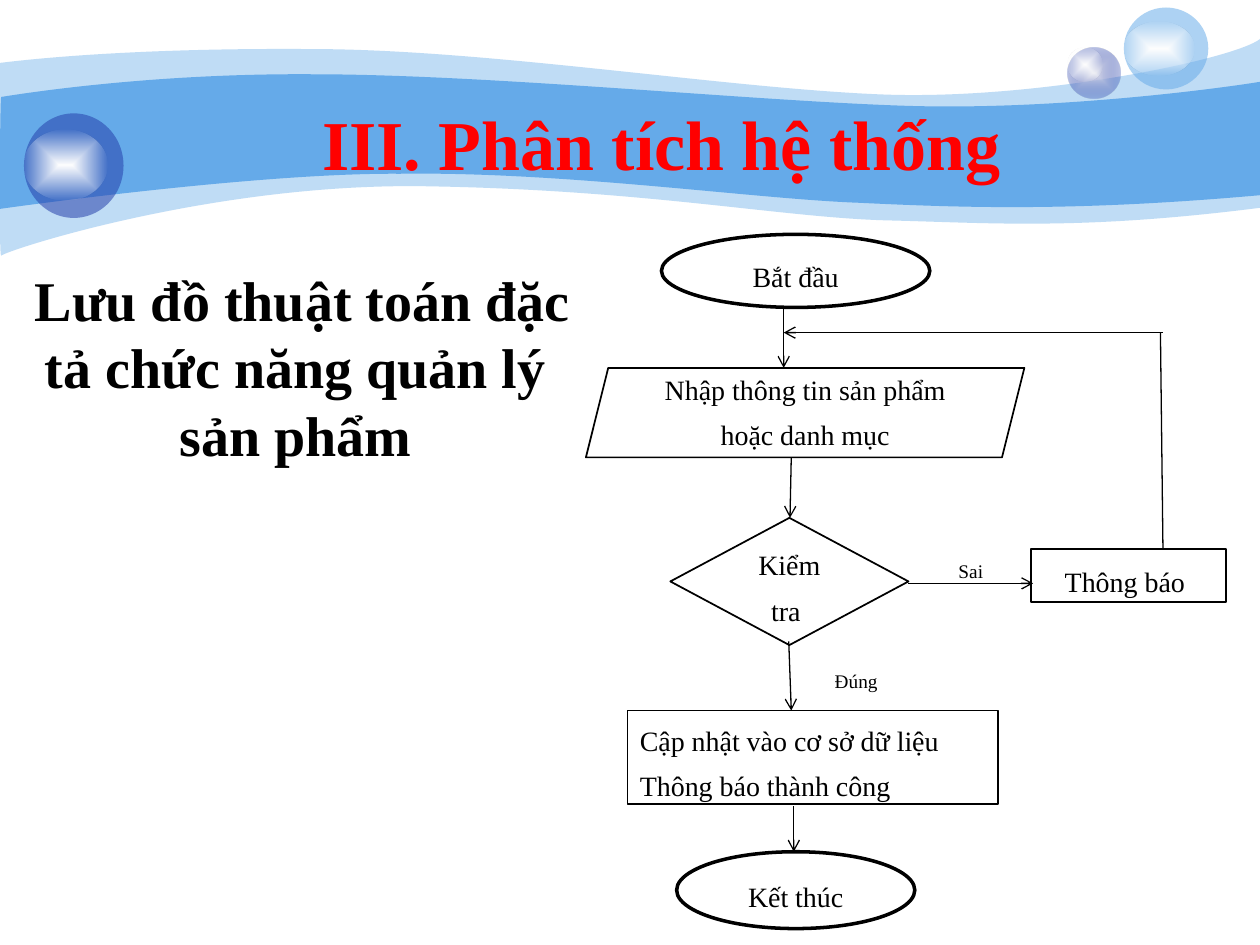
"""Build a slide with a flowchart for the product management function."""
import pptx
import pptx.dml.color
import pptx.enum.shapes
import pptx.enum.text
import pptx.oxml
import pptx.oxml.ns
import pptx.util

Inches = pptx.util.Inches
Pt = pptx.util.Pt
Kind = pptx.enum.shapes.MSO_SHAPE
Align = pptx.enum.text.PP_ALIGN
Anchor = pptx.enum.text.MSO_ANCHOR


def color(code):
    """Turn a hex string into a colour."""
    return pptx.dml.color.RGBColor.from_string(code)


def write(shape, text, size, code="000000", bold=False, align=Align.CENTER,
          anchor=Anchor.MIDDLE, space=1.0, before=0, after=0):
    """Set the text of a shape and format it."""
    frame = shape.text_frame
    frame.text = text
    frame.word_wrap = True
    frame.auto_size = pptx.enum.text.MSO_AUTO_SIZE.NONE
    frame.vertical_anchor = anchor
    for para in frame.paragraphs:
        para.alignment = align
        para.line_spacing = space
        para.space_before, para.space_after = Pt(before), Pt(after)
        for run in para.runs:
            run.font.name = "Times New Roman"
            run.font.size = Pt(size)
            run.font.bold = bold
            run.font.color.rgb = color(code)


deck = pptx.Presentation()
deck.slide_width, deck.slide_height = Inches(10), Inches(7.5)
slide = deck.slides.add_slide(deck.slide_layouts[5])
shapes = slide.shapes
space = pptx.oxml.ns.nsdecls("a")

waves = [
    ((-0.01, 0.31, 10, 2.08), 41,
     [(0, 0.5), (0.24, 0.47, 1.07, 0.38, 2.47, 0.39),
      (3.86, 0.39, 5.75, 0.7, 6.99, 0.75), (8.22, 0.8, 9.8, 0.47, 10, 0.31),
      (10, 1.65), (8.58, 1.83, 7.87, 1.77, 7.05, 1.75),
      (6.22, 1.73, 5.15, 1.51, 3.43, 1.48), (1.72, 1.44, 0.04, 1.99, 0.01, 2.03),
      (-0.01, 2.08, 0, 0.75, 0, 0.5)]),
    ((-0.02, 0.58, 10, 1.68), 100,
     [(0.01, 0.77), (0.02, 0.77, 1.1, 0.58, 2.48, 0.59),
      (3.86, 0.59, 5.95, 0.8, 7.18, 0.84), (8.41, 0.88, 9.76, 0.69, 10, 0.65),
      (10, 1.55), (8.53, 1.68, 7.65, 1.65, 6.82, 1.61),
      (5.99, 1.58, 4.47, 1.36, 3.17, 1.38), (2.03, 1.37, -0.02, 1.66, -0.01, 1.66),
      (0, 1.66, 0, 0.77, 0.01, 0.77)]),
]
decor = []
for (left, top, right, base), alpha, parts in waves:
    pen = shapes.build_freeform(Inches(left), Inches(top))
    pen.add_line_segments([(Inches(right), Inches(base))], close=True)
    wave = pen.convert_to_shape()
    track = wave._element.spPr.find(".//" + pptx.oxml.ns.qn("a:path"))
    for child in list(track):
        track.remove(child)
    for rank, part in enumerate(parts):
        tag = "moveTo" if rank == 0 else "lnTo" if len(part) == 2 else "cubicBezTo"
        dots = "".join(f'<a:pt x="{Inches(x - left)}" y="{Inches(y - top)}"/>'
                       for x, y in zip(part[::2], part[1::2]))
        track.append(pptx.oxml.parse_xml(f"<a:{tag} {space}>{dots}</a:{tag}>"))
    track.append(pptx.oxml.parse_xml(f"<a:close {space}/>"))
    decor.append((wave, [("65AAE9", alpha)]))

gleam = [("FFFFFF", 100), ("FFFFFF", 0)]
balls = [
    (8.47, 0.38, 0.42, 0.4, [("E1E2ED", 100), ("233DA9", 31)]),
    (8.47, 0.38, 0.28, 0.27, gleam),
    (8.92, 0.06, 0.67, 0.65, [("65AAE9", 53)]),
    (8.92, 0.17, 0.56, 0.43, gleam),
    (0.19, 0.9, 0.79, 0.83, [("233DA9", 53)]),
    (0.19, 1.03, 0.66, 0.56, gleam),
]
for *place, stops in balls:
    ball = shapes.add_shape(Kind.OVAL, *map(Inches, place))
    decor.append((ball, stops))

for shape, stops in decor:
    tones = [f'<a:srgbClr val="{code}"><a:alpha val="{alpha * 1000}"/></a:srgbClr>'
             for code, alpha in stops]
    if len(tones) == 1:
        fill = f"<a:solidFill {space}>{tones[0]}</a:solidFill>"
    else:
        fill = (f'<a:gradFill {space} rotWithShape="1"><a:gsLst>'
                f'<a:gs pos="0">{tones[0]}</a:gs><a:gs pos="100000">{tones[1]}</a:gs>'
                '</a:gsLst><a:path path="shape"><a:fillToRect l="50000" t="50000" '
                'r="50000" b="50000"/></a:path></a:gradFill>')
    shape._element.spPr.append(pptx.oxml.parse_xml(fill))
    shape.line.fill.background()
    shape.shadow.inherit = False

topic = shapes.add_textbox(Inches(0), Inches(2.06), Inches(4.69), Inches(1.72))
write(topic, " Lưu đồ thuật toán đặc tả chức năng quản lý sản phẩm", 32,
      bold=True, anchor=Anchor.TOP, before=6.4)

nodes = [
    (Kind.RECTANGLE, 7.28, 4.36, 0.85, 0.28, "Sai", 11, "FFFFFF", 2),
    (Kind.RECTANGLE, 6.3, 5.22, 0.99, 0.31, "Đúng", 11, "FFFFFF", 2),
    (Kind.OVAL, 5.25, 1.86, 2.13, 0.58, "Bắt đầu", 16, "000000", 2),
    (Kind.DIAMOND, 5.32, 4.11, 1.89, 1.01, "Kiểm tra ", 16, "000000", 1),
    (Kind.RECTANGLE, 8.18, 4.36, 1.55, 0.42, "Thông báo ", 16, "000000", 1),
    (Kind.PARALLELOGRAM, 4.65, 2.92, 3.48, 0.71,
     "Nhập thông tin sản phẩm hoặc danh mục", 16, "000000", 1),
    (Kind.RECTANGLE, 4.98, 5.64, 2.94, 0.74,
     "Cập nhật vào cơ sở dữ liệu\nThông báo thành công", 16, "000000", 1),
    (Kind.OVAL, 5.37, 6.76, 1.89, 0.61, "Kết thúc", 16, "000000", 2),
]
for kind, left, top, width, height, text, size, edge, weight in nodes:
    node = shapes.add_shape(kind, Inches(left), Inches(top), Inches(width), Inches(height))
    node.shadow.inherit = False
    node.fill.solid()
    node.fill.fore_color.rgb = color("FFFFFF")
    node.line.color.rgb = color(edge)
    node.line.width = Pt(weight)
    listed = "\n" in text
    gap = 0 if listed else 3
    write(node, text, size, align=Align.LEFT if listed else Align.CENTER,
          space=1.35, before=gap, after=gap)
    if kind == Kind.PARALLELOGRAM:
        node.text_frame.margin_bottom = Inches(0.15)

links = [
    (6.22, 2.44, 6.22, 2.92, True),
    (6.28, 3.63, 6.27, 4.11, True),
    (6.26, 5.09, 6.28, 5.64, True),
    (6.3, 6.4, 6.3, 6.76, True),
    (7.21, 4.63, 8.2, 4.63, True),
    (9.21, 2.64, 9.23, 4.36, False),
    (9.23, 2.64, 6.22, 2.64, True),
]
for *ends, arrow in links:
    link = shapes.add_connector(pptx.enum.shapes.MSO_CONNECTOR.STRAIGHT, *map(Inches, ends))
    link.line.color.rgb = color("000000")
    link.line.width = Pt(0.75)
    if arrow:
        link.line._ln.append(pptx.oxml.parse_xml(f'<a:tailEnd {space} type="arrow"/>'))
    link._element.spPr.append(pptx.oxml.parse_xml(f"<a:effectLst {space}/>"))

title = shapes.title
title.left, title.top = Inches(0.5), Inches(0.75)
title.width, title.height = Inches(9.5), Inches(0.77)
write(title, "III. Phân tích hệ thống", 40, "FF0000", bold=True)
shapes._spTree.append(title._element)

deck.save("out.pptx")
